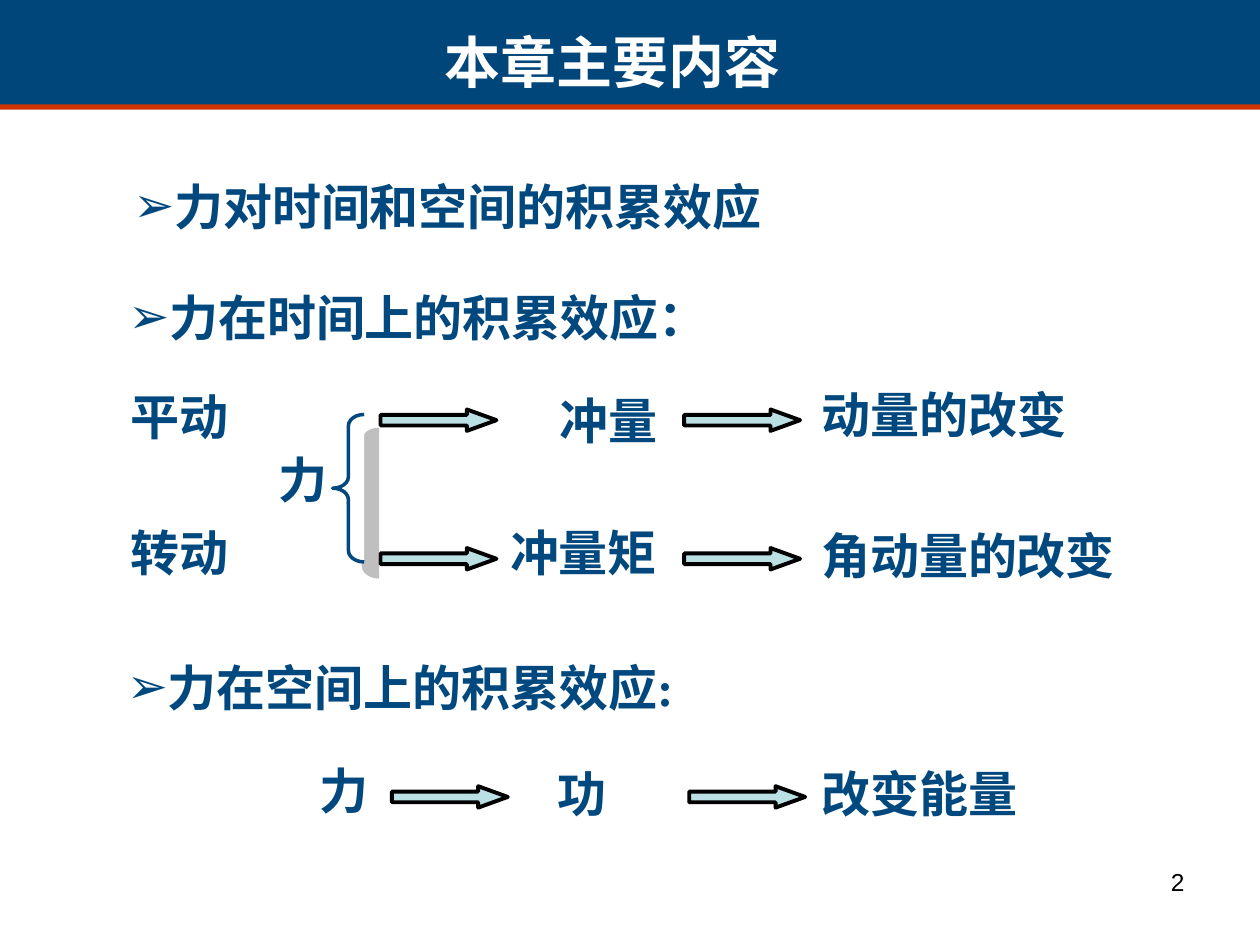
from lxml import etree
from pptx import Presentation
from pptx.dml.color import RGBColor
from pptx.enum.shapes import MSO_SHAPE as Preset
from pptx.enum.text import MSO_ANCHOR as Anchor, MSO_AUTO_SIZE as AutoSize, PP_ALIGN as Align
from pptx.oxml import parse_xml
from pptx.oxml.ns import nsdecls, qn
from pptx.util import Inches, Pt

NAVY = RGBColor(0x00, 0x46, 0x7A)
BLUE = RGBColor(0x00, 0x48, 0x7E)
RED = RGBColor(0xCC, 0x33, 0x00)
PALE = RGBColor(0xBB, 0xE0, 0xE3)
WHITE = RGBColor(0xFF, 0xFF, 0xFF)
BLACK = RGBColor(0x00, 0x00, 0x00)
CJK_FONT = "Noto Sans CJK SC"
BODY_FONT = "Times New Roman"


class SlideBuilder:
    def __init__(self, slide):
        self.slide = slide

    def set_text(self, shape, text, size=28, font=BODY_FONT, color=BLUE, bold=True,
                 align=Align.LEFT, bullet=False, spacing=None):
        frame = shape.text_frame
        frame.word_wrap = True
        frame.auto_size = AutoSize.NONE
        frame.vertical_anchor = Anchor.TOP
        frame.text = text
        paragraph = frame.paragraphs[0]
        paragraph.alignment = align
        if spacing:
            paragraph.line_spacing = spacing
        if bullet:
            properties = paragraph._p.get_or_add_pPr()
            color_tag = etree.SubElement(properties, qn("a:buClr"))
            etree.SubElement(color_tag, qn("a:srgbClr"), val=str(color))
            etree.SubElement(properties, qn("a:buFont"), typeface="Arial")
            etree.SubElement(properties, qn("a:buChar"), char="➢")
        run = paragraph.runs[0]
        run.font.size = Pt(size)
        run.font.name = font
        run.font.bold = bold
        run.font.color.rgb = color
        etree.SubElement(run._r.get_or_add_rPr(), qn("a:ea"), typeface=CJK_FONT)

    def title(self, text, left, top, width, height):
        title = self.slide.shapes.title
        title.left, title.top = Inches(left), Inches(top)
        title.width, title.height = Inches(width), Inches(height)
        self.set_text(title, text, 32, CJK_FONT, WHITE, align=Align.CENTER)
        self.slide.shapes.element.append(title.element)

    def text(self, text, left, top, width, height=0.57, **style):
        box = self.slide.shapes.add_textbox(
            Inches(left), Inches(top), Inches(width), Inches(height))
        self.set_text(box, text, **style)

    def shape(self, preset, left, top, width, height, fill, line=None, weight=1):
        shape = self.slide.shapes.add_shape(
            preset, Inches(left), Inches(top), Inches(width), Inches(height))
        shape.shadow.inherit = False
        shape.fill.solid()
        shape.fill.fore_color.rgb = fill
        if line is None:
            shape.line.fill.background()
        else:
            shape.line.color.rgb = line
            shape.line.width = Pt(weight)
        return shape

    def arrow(self, left, top):
        arrow = self.shape(Preset.RIGHT_ARROW, left, top, 0.92, 0.17, PALE, BLACK, 2.25)
        arrow.adjustments[0] = 0.5
        arrow.adjustments[1] = 1.38

    def brace(self, left, top, width, height):
        brace = self.shape(Preset.LEFT_BRACE, left, top, width, height, WHITE, BLUE, 2)
        brace.adjustments[0] = 0.36
        brace.adjustments[1] = 0.5
        effects = brace.element.spPr.find(qn("a:effectLst"))
        effects.append(parse_xml(
            f'<a:outerShdw {nsdecls("a")} dist="{Pt(12.1)}" dir="2700000" algn="ctr" '
            'rotWithShape="0"><a:srgbClr val="808080"><a:alpha val="50000"/>'
            '</a:srgbClr></a:outerShdw>'))


def main():
    presentation = Presentation()
    presentation.slide_width = Inches(10)
    presentation.slide_height = Inches(7.5)
    slide = presentation.slides.add_slide(presentation.slide_layouts[5])
    builder = SlideBuilder(slide)

    builder.shape(Preset.RECTANGLE, 0, 0.79, 10, 0.08, RED)
    builder.shape(Preset.RECTANGLE, 0, 0, 10, 0.83, NAVY)
    builder.title("本章主要内容", 2.58, 0.17, 4.57, 0.64)
    builder.text("2", 7.17, 6.83, 2.33, 0.52, size=14, font="Arial",
                 color=BLACK, bold=False, align=Align.RIGHT)

    builder.text("力对时间和空间的积累效应", 0.96, 1.21, 5.45, 0.71, font="Arial",
                 align=Align.JUSTIFY, bullet=True, spacing=1.3)
    headings = [("力在时间上的积累效应：", 0.92, 2.23, 4.99),
                ("力在空间上的积累效应:", 0.91, 5.17, 6.06)]
    for heading in headings:
        builder.text(*heading, align=Align.JUSTIFY, bullet=True)

    labels = [
        ("平动", 0.94, 3.02, 2.08),
        ("冲量", 4.34, 3.05, 1.32),
        ("动量的改变", 6.42, 3, 2.32),
        ("转动", 0.94, 4.1, 1.77),
        ("冲量矩", 3.95, 4.1, 1.47),
        ("角动量的改变", 6.42, 4.12, 2.67),
        ("力", 2.44, 5.99, 1.69),
        ("功", 4.33, 6.01, 1.69),
        ("改变能量", 6.42, 6.01, 2.05),
        ("力", 2.11, 3.52, 0.89),
    ]
    for label in labels:
        builder.text(*label)

    arrow_rows = [(3.25, (3.02, 5.43)), (4.35, (3.02, 5.43)), (6.24, (3.11, 5.47))]
    for top, lefts in arrow_rows:
        for left in lefts:
            builder.arrow(left, top)
    builder.brace(2.64, 3.29, 0.25, 1.17)

    presentation.save("out.pptx")


if __name__ == "__main__":
    main()
